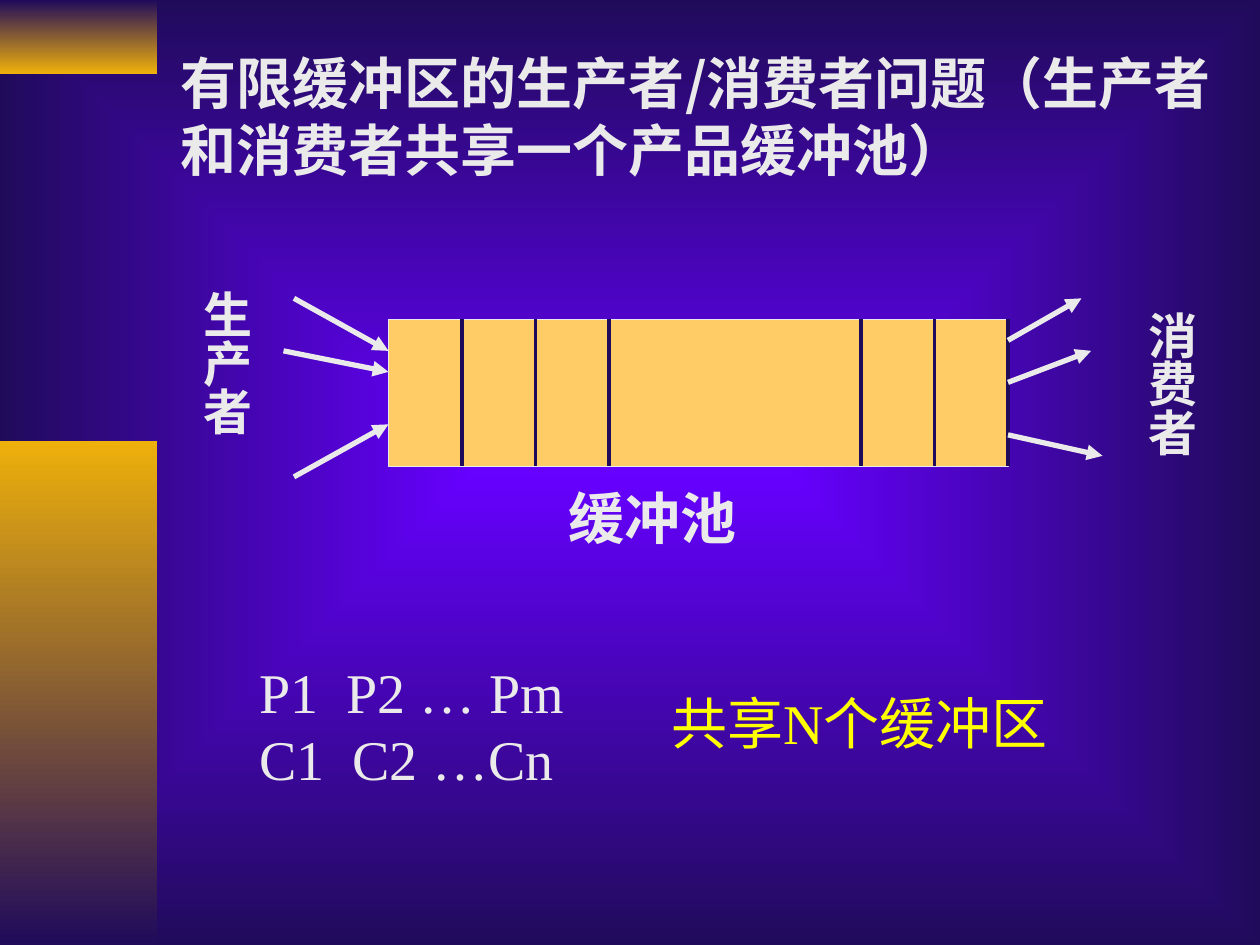
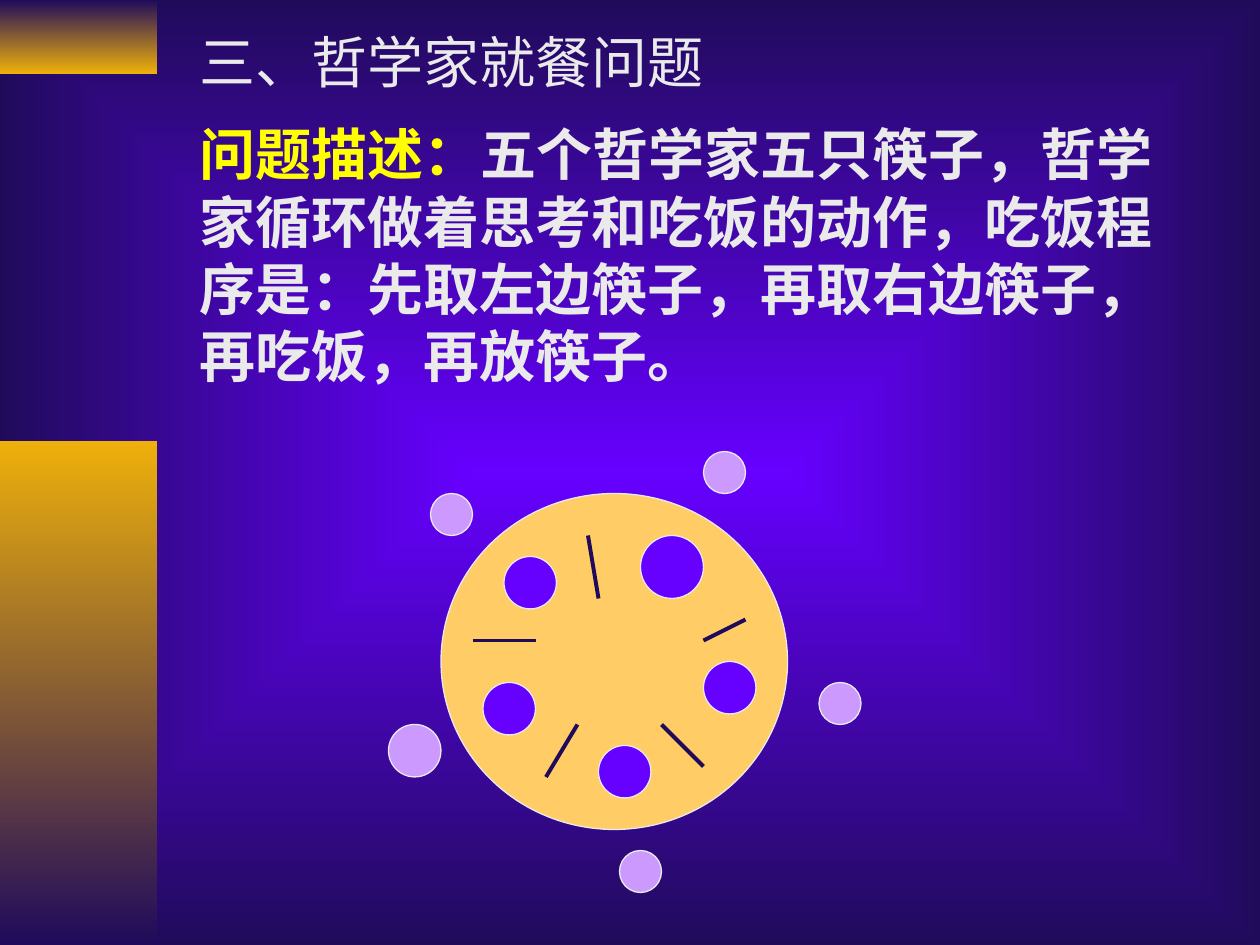
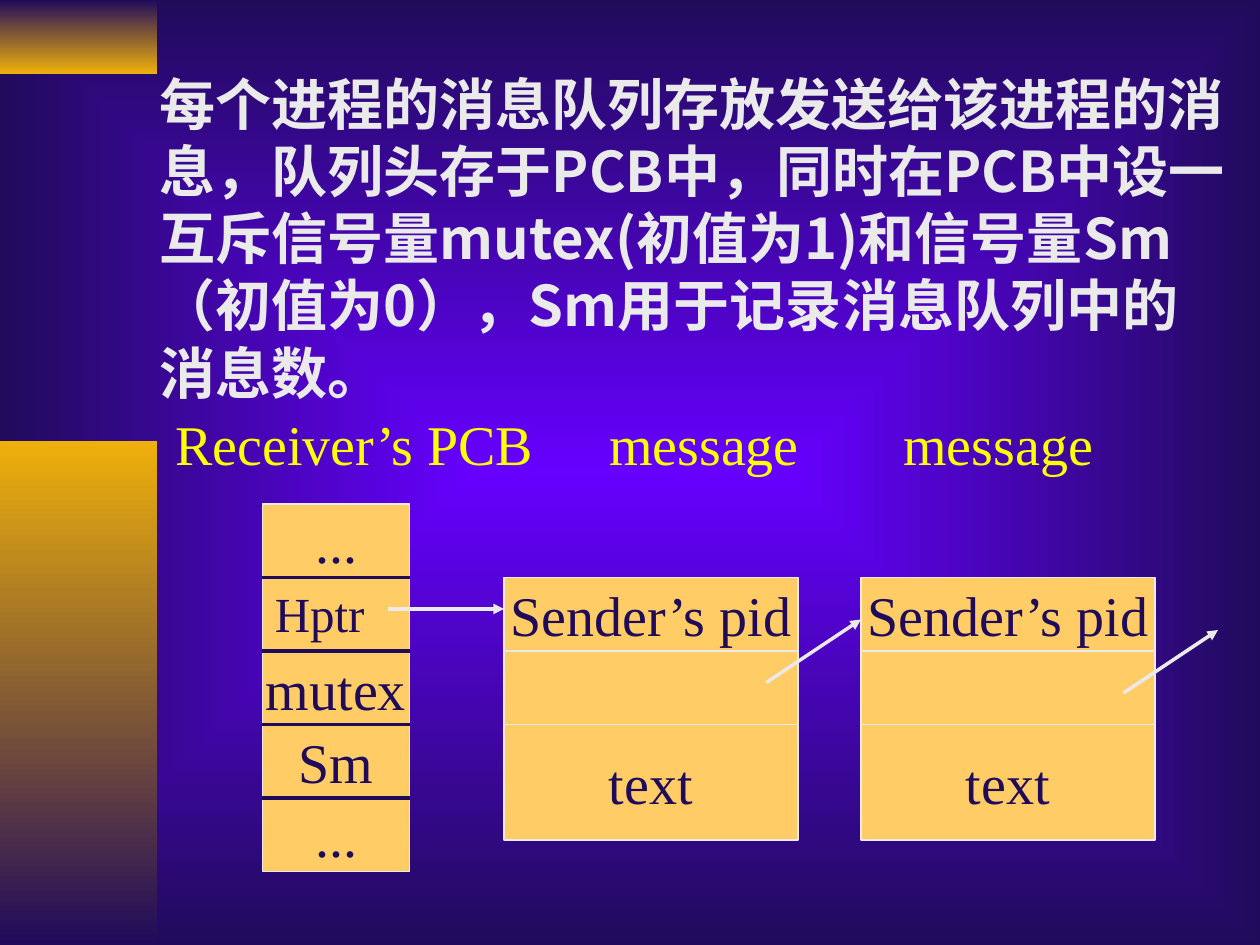
from dataclasses import dataclass, field
from typing import NamedTuple

from lxml import etree
from pptx import Presentation
from pptx import util as u
from pptx.dml.color import RGBColor
from pptx.enum import shapes, text
from pptx.oxml.ns import qn

Pt = u.Pt


@dataclass(frozen=True)
class Theme:
    navy: str = "200B5B"
    violet: str = "6600FF"
    lilac: str = "CC99FF"
    gold: str = "EEB00B"
    sand: str = "FFCC66"
    pale: str = "EAEAEA"
    yellow: str = "FFFF00"
    sans: str = "Noto Sans CJK SC"
    serif: str = "Times New Roman"
    large: float = 32
    small: float = 28
    outline: float = 0.75
    divider: float = 2.25


THEME = Theme()


class Area(NamedTuple):
    left: float
    top: float
    width: float
    height: float

    def lengths(self) -> list[u.Length]:
        return [Pt(value) for value in self]


class Segment(NamedTuple):
    x1: float
    y1: float
    x2: float
    y2: float


class Disc(NamedTuple):
    left: float
    top: float
    size: float


class Span(NamedTuple):
    text: str
    color: str = THEME.pale
    bold: bool = False
    font: str = THEME.serif
    size: float = THEME.large


@dataclass(frozen=True)
class Line:
    spans: list[Span]
    tabs: list[float] = field(default_factory=list)
    before: float = 0


@dataclass(frozen=True)
class Label:
    area: Area
    lines: list[Line]
    wrap: bool = True
    vertical: bool = False
    left_inset: float = 7.2


def rgb(color: str) -> RGBColor:
    return RGBColor.from_string(color)


def write_line(para, line: Line) -> None:
    if line.tabs:
        stops = etree.SubElement(para._p.get_or_add_pPr(), qn("a:tabLst"))
        for position in line.tabs:
            etree.SubElement(stops, qn("a:tab"), pos=str(Pt(position)), algn="l")
    if line.before:
        para.space_before = Pt(line.before)
    for item in line.spans:
        span = para.add_run()
        span.text = item.text
        span.font.size = Pt(item.size)
        span.font.bold = item.bold
        span.font.color.rgb = rgb(item.color)
        span.font.name = item.font
        etree.SubElement(span.font._element, qn("a:ea"), typeface=THEME.sans)


def add_label(page, label: Label) -> None:
    box = page.shapes.add_textbox(*label.area.lengths())
    frame = box.text_frame
    frame.word_wrap = label.wrap
    frame.auto_size = text.MSO_AUTO_SIZE.SHAPE_TO_FIT_TEXT
    frame.margin_left = Pt(label.left_inset)
    if label.vertical:
        frame.margin_left = frame.margin_right = Pt(3.6)
        frame.margin_top = frame.margin_bottom = Pt(7.2)
        frame._txBody.bodyPr.set("vert", "eaVert")
    for index, line in enumerate(label.lines):
        para = frame.add_paragraph() if index else frame.paragraphs[0]
        if label.vertical:
            para.alignment = text.PP_ALIGN.CENTER
        write_line(para, line)


def add_filled(page, kind: shapes.MSO_SHAPE, area: Area, color: str):
    shape = page.shapes.add_shape(kind, *area.lengths())
    shape.shadow.inherit = False
    shape.fill.solid()
    shape.fill.fore_color.rgb = rgb(color)
    shape.line.color.rgb = rgb(THEME.pale)
    shape.line.width = Pt(THEME.outline)
    return shape


def add_cell(page, area: Area, caption: str = "") -> None:
    cell = add_filled(page, shapes.MSO_SHAPE.RECTANGLE, area, THEME.sand)
    if caption:
        frame = cell.text_frame
        frame.word_wrap = False
        frame.vertical_anchor = text.MSO_ANCHOR.MIDDLE
        para = frame.paragraphs[0]
        para.alignment = text.PP_ALIGN.CENTER
        write_line(para, Line([Span(caption, THEME.navy)]))


def add_discs(page, discs: list[Disc], color: str) -> None:
    for left, top, size in discs:
        add_filled(page, shapes.MSO_SHAPE.OVAL, Area(left, top, size, size), color)


def add_line(page, segment: Segment, color: str = THEME.navy,
             width: float = THEME.divider):
    line = page.shapes.add_connector(
        shapes.MSO_CONNECTOR.STRAIGHT, *[Pt(value) for value in segment])
    line.line.color.rgb = rgb(color)
    line.line.width = Pt(width)
    etree.SubElement(line._element.spPr, qn("a:effectLst"))
    return line


def add_arrow(page, segment: Segment, width: float) -> None:
    arrow = add_line(page, segment, THEME.pale, width)
    etree.SubElement(arrow.line._get_or_add_ln(), qn("a:tailEnd"), type="triangle")


def set_gradient(fill, start: str, end: str) -> None:
    """Blend from start at the top to end at the bottom."""
    fill.gradient()
    fill.gradient_angle = 270
    for stop, position, color in zip(fill.gradient_stops, (0, 1), (start, end)):
        stop.position = position
        stop.color.rgb = rgb(color)


def set_background(master) -> None:
    """Give every page a glow that spreads from its centre."""
    set_gradient(master.background.fill, THEME.violet, THEME.navy)
    gradient = master.element.find(".//" + qn("a:gradFill"))
    gradient.remove(gradient.find(qn("a:lin")))
    glow = etree.SubElement(gradient, qn("a:path"))
    glow.set("path", "rect")
    etree.SubElement(glow, qn("a:fillToRect"), {side: "50000" for side in "ltrb"})


def add_page(deck):
    """Add a blank page with the two gold bands on its left edge."""
    page = deck.slides.add_slide(deck.slide_layouts[6])
    bands = [
        (Area(0, 0, 90, 42), THEME.navy, THEME.gold),
        (Area(0, 252, 90, 288), THEME.gold, THEME.navy),
    ]
    for area, start, end in bands:
        band = page.shapes.add_shape(shapes.MSO_SHAPE.RECTANGLE, *area.lengths())
        band.shadow.inherit = False
        band.line.fill.background()
        set_gradient(band.fill, start, end)
    return page


def build_buffer_page(deck) -> None:
    page = add_page(deck)
    pool = Area(222, 182.5, 354, 84)
    pool_right = pool.left + pool.width
    slot = 42
    add_cell(page, pool)
    dividers = [pool.left + slot * i for i in (1, 2, 3)]
    dividers += [pool_right - slot * i for i in (2, 1, 0)]
    for x in dividers:
        add_line(page, Segment(x, pool.top, x, pool.top + pool.height))

    producer_arrows = [
        Segment(168, 170.5, pool.left, 200.5),
        Segment(162, 200.5, pool.left, 212.5),
        Segment(168, 272.5, pool.left, 242.5),
    ]
    consumer_arrows = [
        Segment(pool_right, 194.5, 618, 170.5),
        Segment(pool_right, 218.5, 623.5, 200.5),
        Segment(pool_right, 248.5, 630, 260.5),
    ]
    for arrow in producer_arrows + consumer_arrows:
        add_arrow(page, arrow, 3)

    title = "有限缓冲区的生产者/消费者问题（生产者和消费者共享一个产品缓冲池）"
    labels = [
        Label(Area(96, 24, 624, 84), [Line([Span(title, bold=True, font=THEME.sans)])]),
        Label(Area(376.5, 390, 245, 46),
              [Line([Span("共享N个缓冲区", THEME.yellow)])], wrap=False),
        Label(Area(141, 372, 197, 84), [
            Line([Span("P1\tP2 … Pm")], tabs=[50]),
            Line([Span("C1\tC2 …Cn")], tabs=[53.5]),
        ]),
        Label(Area(317.5, 272.5, 120, 46), [Line([Span("缓冲池", bold=True)])]),
    ]
    roles = [("生产者", Area(102, 158.5, 47.5, 120)), ("消费者", Area(642, 170.5, 47.5, 108))]
    labels += [
        Label(area, [Line([Span(role, bold=True, size=THEME.small)])], vertical=True)
        for role, area in roles
    ]
    for label in labels:
        add_label(page, label)


def build_philosophers_page(deck) -> None:
    page = add_page(deck)
    problem = ("五个哲学家五只筷子，哲学家循环做着思考和吃饭的动作，"
               "吃饭程序是：先取左边筷子，再取右边筷子，再吃饭，再放筷子。")
    add_label(page, Label(Area(77, 12, 619, 214), [
        Line([Span("三、哲学家就餐问题", font=THEME.sans)]),
        Line([Span("问题描述：", THEME.yellow, True, THEME.sans),
              Span(problem, THEME.pale, True, THEME.sans)], before=14.5),
    ], left_inset=37.2))

    table = Area(252, 282, 198, 192)
    plates = [Disc(342, 426, 30), Disc(402, 378, 30), Disc(366, 306, 36),
              Disc(288, 318, 30), Disc(276, 390, 30)]
    chopsticks = [Segment(330, 414, 312, 444), Segment(378, 414, 402, 438),
                  Segment(402, 366, 426, 354), Segment(342, 342, 336, 306),
                  Segment(270, 366, 306, 366)]
    philosophers = [Disc(402, 258, 24), Disc(468, 390, 24), Disc(246, 282, 24),
                    Disc(222, 414, 30), Disc(354, 486, 24)]
    add_filled(page, shapes.MSO_SHAPE.OVAL, table, THEME.sand)
    add_discs(page, plates, THEME.violet)
    for chopstick in chopsticks:
        add_line(page, chopstick)
    add_discs(page, philosophers, THEME.lilac)


def build_message_page(deck) -> None:
    page = add_page(deck)
    intro = ("每个进程的消息队列存放发送给该进程的消息，队列头存于PCB中，"
             "同时在PCB中设一互斥信号量mutex(初值为1)和信号量Sm（初值为0），"
             "Sm用于记录消息队列中的消息数。")
    add_label(page, Label(Area(84, 36, 624, 199.5),
                          [Line([Span(intro, bold=True, font=THEME.sans)])]))

    row = 42
    pcb = Area(150, 288, 84, row)
    pcb_fields = ["...", "", "mutex", "Sm", "..."]
    for index, caption in enumerate(pcb_fields):
        add_cell(page, pcb._replace(top=pcb.top + row * index), caption)
    for index in range(1, len(pcb_fields)):
        y = pcb.top + row * index
        add_line(page, Segment(pcb.left, y, pcb.left + pcb.width, y))

    message_top = pcb.top + row
    message_fields = [("Sender’s pid", row), ("", row), ("text", 66)]
    for left in (288, 492):
        top = message_top
        for caption, height in message_fields:
            add_cell(page, Area(left, top, 168, height), caption)
            top += height

    for pointer in (Segment(222, 348, 288, 348), Segment(438, 390, 492, 354),
                    Segment(642, 396, 696, 360)):
        add_arrow(page, pointer, 2)

    add_label(page, Label(Area(93, 230.5, 550, 46), [
        Line([Span("Receiver’s PCB\tmessage\tmessage", THEME.yellow)], tabs=[248, 416]),
    ]))
    add_label(page, Label(Area(pcb.left, message_top, 78, 41),
                          [Line([Span("Hptr", THEME.navy, size=THEME.small)])]))


def main() -> None:
    deck = Presentation()
    deck.slide_width, deck.slide_height = Pt(720), Pt(540)
    set_background(deck.slide_master)
    build_buffer_page(deck)
    build_philosophers_page(deck)
    build_message_page(deck)
    deck.save("out.pptx")


if __name__ == "__main__":
    main()
